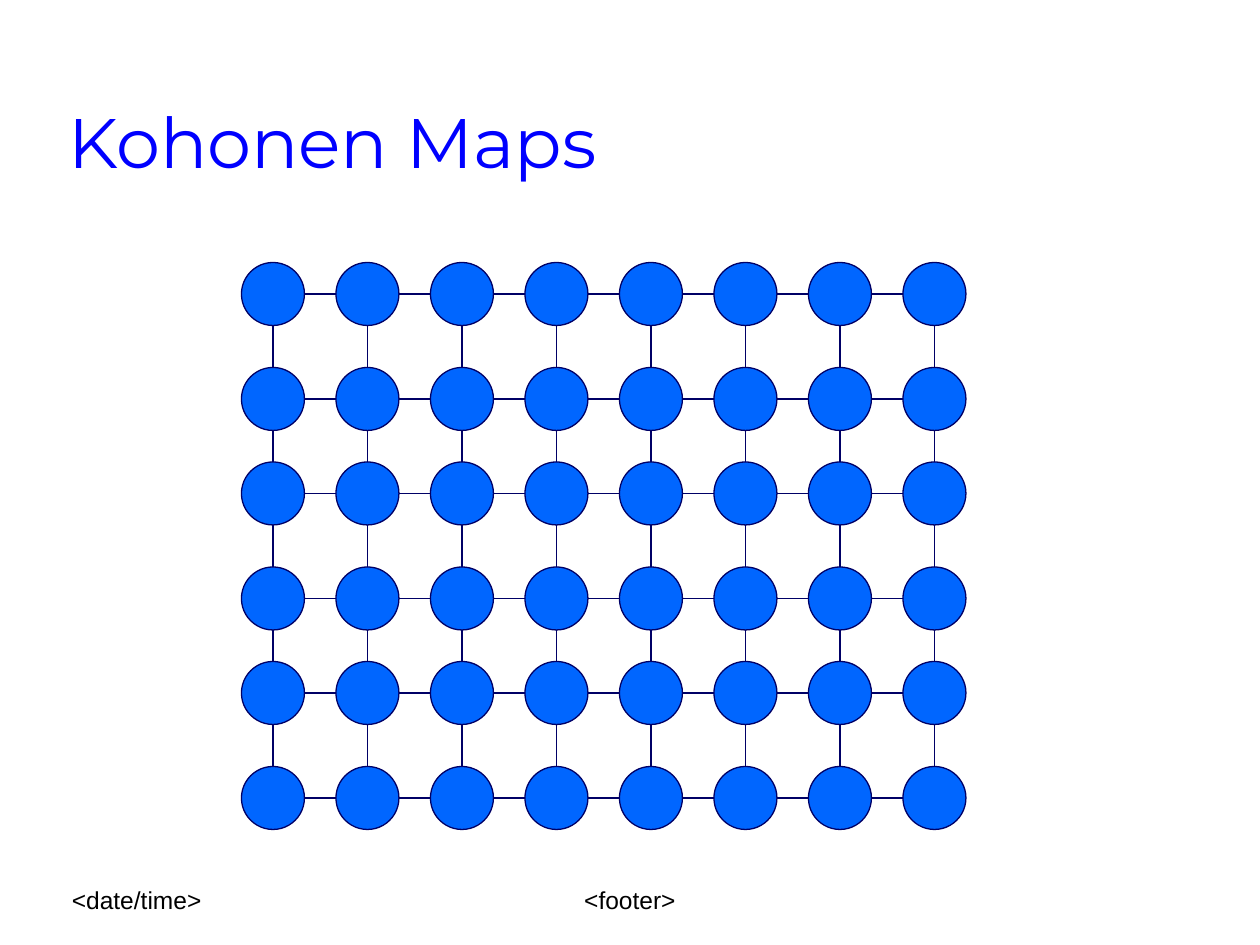
import pptx
import pptx.dml.color
import pptx.enum.shapes
import pptx.enum.text
import pptx.util
from pptx.oxml.ns import qn
from lxml import etree

Pt = pptx.util.Pt
Align = pptx.enum.text.PP_ALIGN


def color(value):
    return pptx.dml.color.RGBColor.from_string(value)


def set_values(target, values):
    for name, value in values.items():
        setattr(target, name, value)


class SlideBuilder:
    node_fill = "0066FF"
    outline = "000066"
    outline_width = 0.75

    def __init__(self, slide):
        self.slide = slide
        self.group = slide.shapes.add_group_shape()

    def style_line(self, line):
        line.color.rgb = color(self.outline)
        line.width = Pt(self.outline_width)

    def text(self, words, box, font, size, ink, align=Align.LEFT, space=0):
        shape = self.slide.shapes.add_textbox(*map(Pt, box))
        set_values(shape.text_frame, {
            "word_wrap": True,
            "vertical_anchor": pptx.enum.text.MSO_ANCHOR.BOTTOM,
            "margin_left": Pt(7.2), "margin_right": Pt(7.2),
            "margin_top": Pt(3.6), "margin_bottom": Pt(3.6),
        })
        paragraph = shape.text_frame.paragraphs[0]
        set_values(paragraph, {"alignment": align, "space_before": Pt(space)})
        run = paragraph.add_run()
        run.text = words
        set_values(run.font, {"name": font, "size": Pt(size)})
        run.font.color.rgb = color(ink)

    def node(self, left, top, size):
        shape = self.group.shapes.add_shape(
            pptx.enum.shapes.MSO_SHAPE.OVAL, *map(Pt, (left, top, size, size)))
        shape.shadow.inherit = False
        shape.fill.solid()
        shape.fill.fore_color.rgb = color(self.node_fill)
        self.style_line(shape.line)

    def link(self, *ends):
        connector = self.group.shapes.add_connector(
            pptx.enum.shapes.MSO_CONNECTOR.STRAIGHT, *map(Pt, ends))
        self.style_line(connector.line)
        etree.SubElement(connector._element.spPr, qn("a:effectLst"))


def main():
    presentation = pptx.Presentation()
    set_values(presentation, {"slide_width": Pt(720), "slide_height": Pt(540)})
    slide = presentation.slides.add_slide(presentation.slide_layouts[6])
    builder = SlideBuilder(slide)

    # Title and footer
    builder.text("<footer>", (246, 490, 228, 36), "Arial", 14, "000000",
                 Align.CENTER, 8.8)
    builder.text("<date/time>", (34, 490, 150, 36), "Arial", 14, "000000",
                 space=8.8)
    builder.text("Kohonen Maps", (32, 18, 612, 90), "Montserrat", 40, "0000FF")

    # Grid of neurons: row steps alternate between 60 and 54
    size, radius = 36, 18
    lefts = [138 + 54 * column for column in range(8)]
    tops = [150 + 57 * row + 3 * (row % 2) for row in range(6)]
    for top in tops:
        for left in lefts:
            builder.node(left, top, size)

    # Links between neighbours
    for top in tops:
        for left, following in zip(lefts, lefts[1:]):
            builder.link(left + size, top + radius, following, top + radius)
    for left in lefts:
        for top, following in zip(tops, tops[1:]):
            builder.link(left + radius, following, left + radius, top + size)

    presentation.save("out.pptx")


if __name__ == "__main__":
    main()
